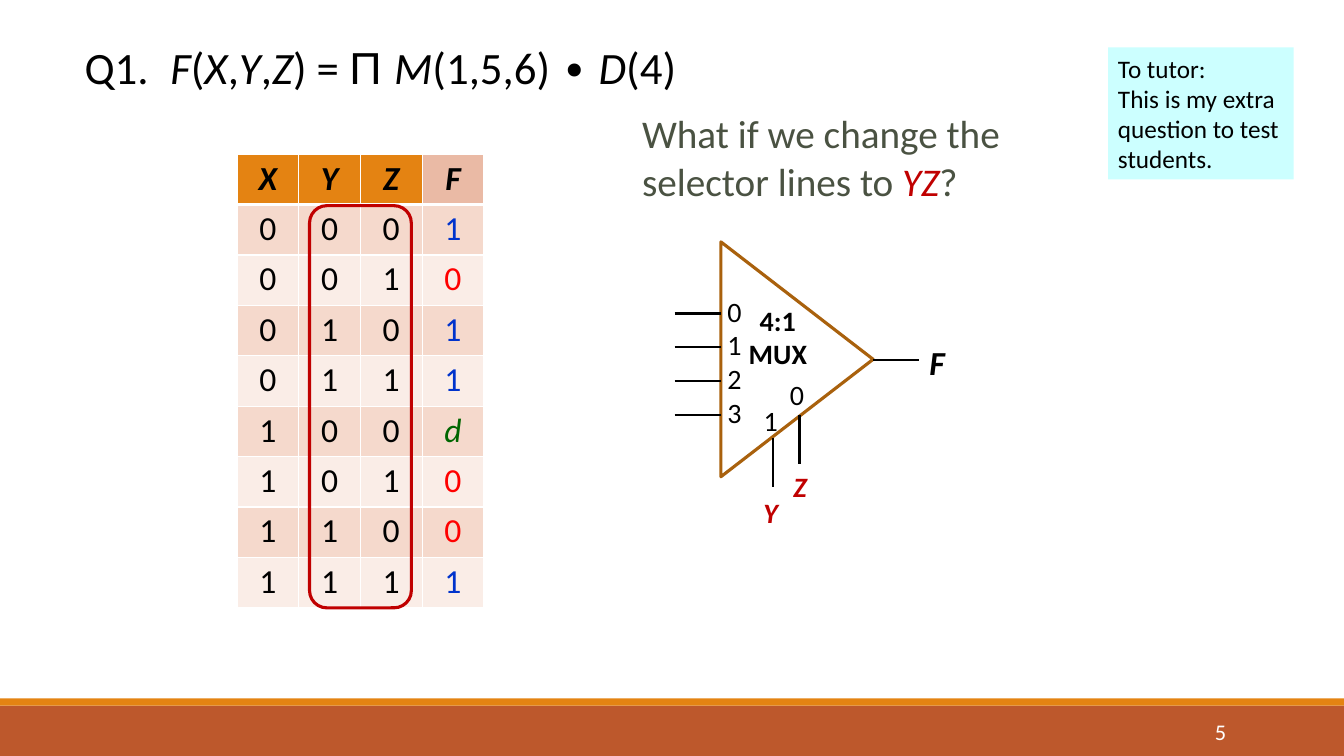
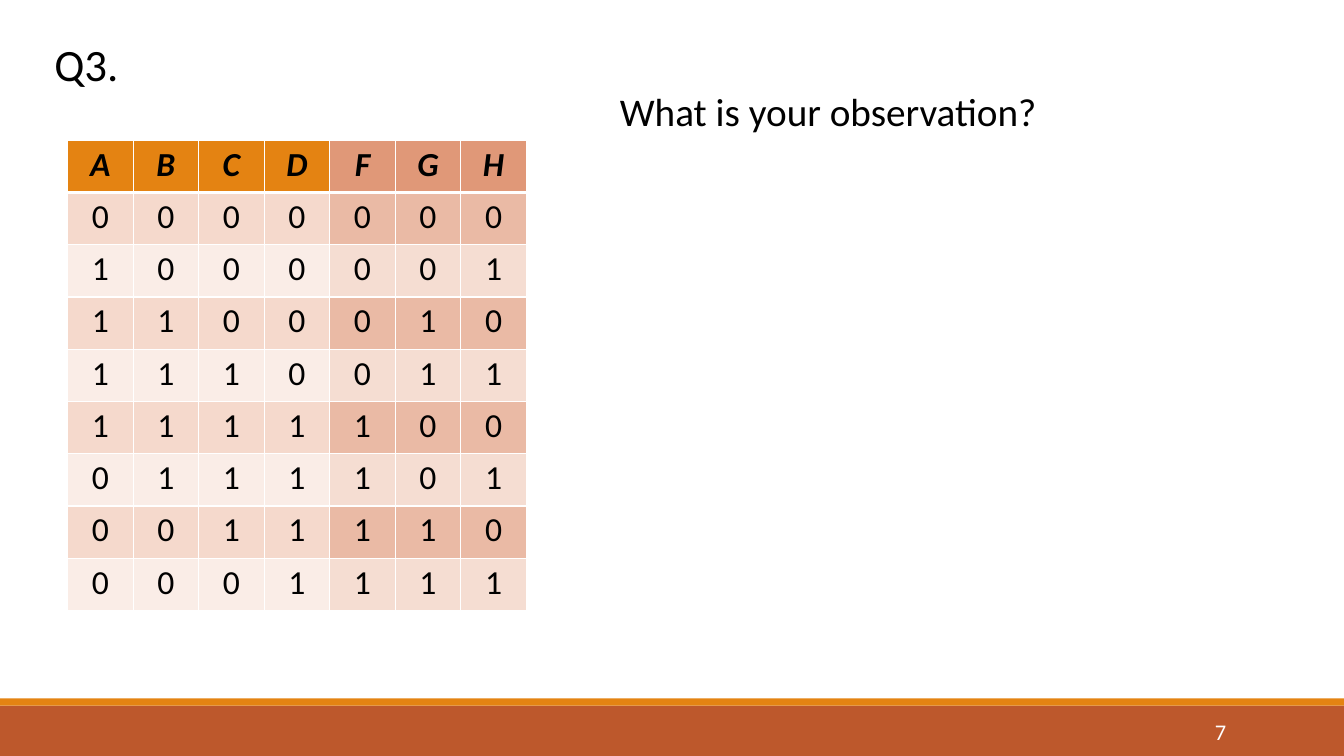
"""Build two logic-design slides: truth tables, a multiplexer and questions."""
import pptx
import pptx.dml.color
import pptx.enum.shapes
import pptx.enum.text
import pptx.oxml
import pptx.oxml.ns
import pptx.util

Inches = pptx.util.Inches
Pt = pptx.util.Pt
SHAPE = pptx.enum.shapes.MSO_SHAPE
LEFT, CENTER, RIGHT = (pptx.enum.text.PP_ALIGN.LEFT, pptx.enum.text.PP_ALIGN.CENTER,
                       pptx.enum.text.PP_ALIGN.RIGHT)
MIDDLE = pptx.enum.text.MSO_ANCHOR.MIDDLE

THEME = {
    "font": "Calibri", "symbol_font": "Arial",
    "title": 32, "question": 28, "cell": 24, "label": 20, "note": 18, "number": 16,
    "text": "000000", "white": "FFFFFF", "muted": "4A5242", "accent": "C00000",
    "band": "BD582C", "stripe": "E48312", "mux": "A9610D", "note_fill": "CCFFFF",
    "one": "0033CC", "zero": "FF0000", "dont_care": "006600",
    "rows": ("F5D9CC", "FAEDE7"),
}

BANDS = [((0, 7, 13.33, 0.5), "band"), ((0, 6.93, 13.33, 0.07), "stripe")]
NUMBER_BOX = (10.83, 7.06, 1.43, 0.4)

ITALIC = {"italic": True}
BOLD = {"bold": True}
SIGNAL = {"bold": True, "italic": True}
SELECTOR = {**SIGNAL, "color": "accent"}

Q1_FORMULA = [("F", ITALIC), ("(", {}), ("X", ITALIC), (",", {}), ("Y", ITALIC),
              (",", {}), ("Z", ITALIC), (") = ", {}),
              ("Π ", {"name": THEME["symbol_font"]}), ("M", ITALIC),
              ("(1,5,6) ∙ ", {}), ("D", ITALIC), ("(4)", {})]
Q1_QUESTION = [("What if we change the selector lines to ", {}),
               ("YZ", {**ITALIC, "color": "accent"}), ("?", {})]
Q1_NOTE = ["To tutor:", "This is my extra question to test students."]
Q1_TABLE = {
    "at": (2.35, 1.53), "size": (2.45, 4.5), "head": "XYZF", "inputs": 3,
    "rows": ["0001", "0010", "0101", "0111", "100d", "1010", "1100", "1111"],
    "output_head": "EABAA5", "output_rows": THEME["rows"],
    "output_formats": {"0": {"color": "zero"}, "1": {"color": "one"},
                       "d": {"color": "dont_care", "italic": True}},
}
Q3_TABLE = {
    "at": (0.67, 1.39), "size": (4.55, 4.67), "head": "ABCDFGH", "inputs": 4,
    "rows": ["0000000", "1000001", "1100010", "1110011",
             "1111100", "0111101", "0011110", "0001111"],
    "output_head": "E09878", "output_rows": ("EABAA5", "F5DDD2"),
    "output_formats": {},
}

MUX_LABELS = [
    ((7, 2.87, 0.57, 1.45), ["0", "1", "2", "3"], "label", {}),
    ((7.13, 2.96, 1.17, 0.77), ["4:1", "MUX"], "label", BOLD),
    ((7.62, 3.7, 0.57, 0.44), ["0"], "label", {}),
    ((7.36, 3.95, 0.57, 0.44), ["1"], "label", {}),
    ((9.01, 3.34, 0.57, 0.5), ["F"], "cell", SIGNAL),
    ((7.36, 4.87, 0.57, 0.44), ["Y"], "label", SELECTOR),
    ((7.65, 4.61, 0.57, 0.44), ["Z"], "label", SELECTOR),
]
INPUT_LEADS = [(6.69, 3.11 + i * 1.01 / 3, 7.15, 3.11 + i * 1.01 / 3) for i in range(4)]
SELECTOR_LEADS = [(x, y, x, y + 0.48) for x, y in [(7.67, 4.35), (7.93, 4.12)]]
OUTPUT_LEAD = (8.66, 3.57, 9.12, 3.57)


def rgb(color):
    return pptx.dml.color.RGBColor.from_string(THEME.get(color, color))


def inches(values):
    return [Inches(v) for v in values]


def add_run(p, text, size, formats):
    r = p.add_run()
    r.text = text
    values = {"name": THEME["font"], "size": Pt(THEME[size]), "bold": False,
              "italic": False, "color": "text", **formats}
    r.font.color.rgb = rgb(values.pop("color"))
    for key, value in values.items():
        setattr(r.font, key, value)


def write(tf, paragraphs, size, formats=None, align=LEFT, spacing=None):
    """Fill a frame with paragraphs, each a string or a list of (text, format) runs."""
    tf.word_wrap = True
    for i, runs in enumerate(paragraphs):
        p = tf.add_paragraph() if i else tf.paragraphs[0]
        p.alignment = align
        if spacing:
            p.line_spacing = spacing
        for text, extra in [(runs, {})] if isinstance(runs, str) else runs:
            add_run(p, text, size, {**(formats or {}), **extra})


def add_text(shapes, box, paragraphs, size, **style):
    tf = shapes.add_textbox(*inches(box)).text_frame
    write(tf, paragraphs, size, **style)
    return tf


def add_shape(shapes, kind, box, fill=None, line=None):
    sp = shapes.add_shape(kind, *inches(box))
    sp.shadow.inherit = False
    if fill:
        sp.fill.solid()
        sp.fill.fore_color.rgb = rgb(fill)
    else:
        sp.fill.background()
    if line:
        sp.line.color.rgb = rgb(line)
        sp.line.width = Pt(2.25)
    else:
        sp.line.fill.background()
    return sp


def add_lead(shapes, ends):
    line = shapes.add_connector(pptx.enum.shapes.MSO_CONNECTOR.STRAIGHT, *inches(ends))
    line.line.color.rgb = rgb("text")
    line.line.width = Pt(1.5)
    pptx.oxml.ns.qn("a:effectLst")
    line.element.spPr.append(pptx.oxml.parse_xml(
        f'<a:effectLst {pptx.oxml.ns.nsdecls("a")}/>'))


def set_borders(cell, widths):
    tc_pr = cell._tc.get_or_add_tcPr()
    for side, width in zip("LRTB", widths):
        tc_pr.append(pptx.oxml.parse_xml(
            f'<a:ln{side} {pptx.oxml.ns.nsdecls("a")} w="{Pt(width)}"><a:solidFill>'
            f'<a:srgbClr val="{THEME["white"]}"/></a:solidFill></a:ln{side}>'))


def add_truth_table(s, data):
    grid = [data["head"], *data["rows"]]
    width, height = data["size"]
    table = s.shapes.add_table(len(grid), len(grid[0]),
                               *inches((*data["at"], width, height))).table
    for column in table.columns:
        column.width = Inches(width / len(grid[0]))
    for i, values in enumerate(grid):
        table.rows[i].height = Inches(height / len(grid))
        for j, value in enumerate(values):
            cell = table.cell(i, j)
            output = j >= data["inputs"]
            if i == 0:
                fill = data["output_head"] if output else "stripe"
                formats = SIGNAL
            else:
                fill = (data["output_rows"] if output else THEME["rows"])[(i - 1) % 2]
                formats = data["output_formats"].get(value, {}) if output else {}
            set_borders(cell, (1, 1, 3 if i == 1 else 1, 3 if i == 0 else 1))
            cell.fill.solid()
            cell.fill.fore_color.rgb = rgb(fill)
            for side, margin in {"left": 0.07, "right": 0.07, "top": 0.04, "bottom": 0.04}.items():
                setattr(cell, f"margin_{side}", Inches(margin))
            write(cell.text_frame, [value], "cell", formats=formats, align=CENTER)


def add_mux(s):
    shapes = s.shapes.add_group_shape().shapes
    body = add_shape(shapes, SHAPE.FLOWCHART_EXTRACT, (6.74, 2.81, 2.33, 1.51), line="mux")
    body.rotation = 90
    for ends in [*INPUT_LEADS, *SELECTOR_LEADS, OUTPUT_LEAD]:
        add_lead(shapes, ends)
    for box, lines, size, formats in MUX_LABELS:
        add_text(shapes, box, lines, size, formats=formats, align=CENTER)


def add_layout_bands(layout, s):
    for ph in list(layout.placeholders):
        ph.element.getparent().remove(ph.element)
    bands = [add_shape(s.shapes, SHAPE.RECTANGLE, box, fill=fill) for box, fill in BANDS]
    for band in bands:
        layout.shapes.element.append(band.element)


def add_number(s, number):
    tf = add_text(s.shapes, NUMBER_BOX, [number], "number",
                  formats={"color": "white"}, align=RIGHT)
    tf.vertical_anchor = MIDDLE


def build_q1(s):
    add_text(s.shapes, (0.74, 0.34, 0.85, 0.72), ["Q1."], "title")
    add_text(s.shapes, (1.59, 0.34, 6.35, 0.64), [Q1_FORMULA], "title")
    add_number(s, "5")
    add_truth_table(s, Q1_TABLE)
    add_mux(s)
    frame = add_shape(s.shapes, SHAPE.ROUNDED_RECTANGLE, (3.07, 2.04, 1.01, 3.99), line="accent")
    frame.adjustments[0] = 0.17
    add_text(s.shapes, (6.27, 1.04, 4.35, 1.04), [Q1_QUESTION], "question",
             formats={"color": "muted"})
    note = add_shape(s.shapes, SHAPE.RECTANGLE, (10.99, 0.47, 1.84, 1.31), fill="note_fill")
    write(note.text_frame, Q1_NOTE, "note")


def build_q3(s):
    add_number(s, "7")
    add_text(s.shapes, (0.44, 0.38, 0.98, 0.65), ["Q3."], "title", spacing=0.9)
    add_truth_table(s, Q3_TABLE)
    add_text(s.shapes, (6.05, 0.82, 4.55, 0.57), ["What is your observation?"], "question")


def main():
    prs = pptx.Presentation()
    prs.slide_width, prs.slide_height = inches((13.33, 7.5))
    layout = prs.slide_layouts[6]
    slides = []
    for build in (build_q1, build_q3):
        s = prs.slides.add_slide(layout)
        if not slides:
            for ph in list(s.placeholders):
                ph.element.getparent().remove(ph.element)
            add_layout_bands(layout, s)
        build(s)
        slides.append(s)
    prs.save("out.pptx")


if __name__ == "__main__":
    main()
